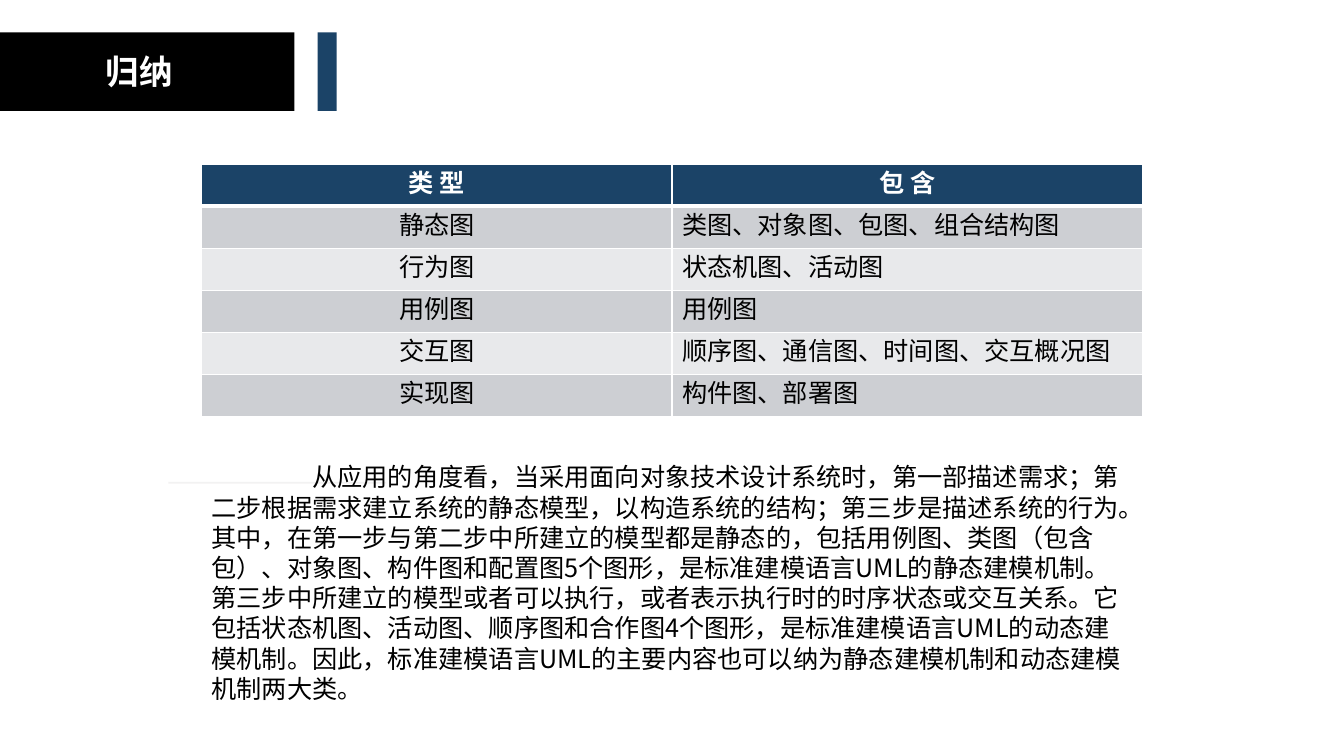
import pptx
import pptx.dml.color
import pptx.enum.shapes
import pptx.enum.text
import pptx.oxml
import pptx.oxml.ns
import pptx.util
from lxml import etree

RGB = pptx.dml.color.RGBColor
ALIGN = pptx.enum.text.PP_ALIGN
qn = pptx.oxml.ns.qn

SCALE = 9144  # EMU per px, 100 px to the inch
FONT = "Noto Sans CJK SC"
WHITE = RGB(0xFF, 0xFF, 0xFF)
BLACK = RGB(0x00, 0x00, 0x00)
NAVY = RGB(0x1B, 0x43, 0x67)
DARK = RGB(0xCD, 0xCF, 0xD3)
LIGHT = RGB(0xE8, 0xE9, 0xEB)
PALE = RGB(0xE7, 0xE6, 0xE6)

ROWS = [
    ("类 型", "包 含"),
    ("静态图", "类图、对象图、包图、组合结构图"),
    ("行为图", "状态机图、活动图"),
    ("用例图", "用例图"),
    ("交互图", "顺序图、通信图、时间图、交互概况图"),
    ("实现图", "构件图、部署图"),
]
BODY = (
    "从应用的角度看，当采用面向对象技术设计系统时，第一部描述需求；"
    "第二步根据需求建立系统的静态模型，以构造系统的结构；第三步是描述系统的行为。"
    "其中，在第一步与第二步中所建立的模型都是静态的，"
    "包括用例图、类图（包含包）、对象图、构件图和配置图5个图形，"
    "是标准建模语言UML的静态建模机制。"
    "第三步中所建立的模型或者可以执行，或者表示执行时的时序状态或交互关系。"
    "它包括状态机图、活动图、顺序图和合作图4个图形，"
    "是标准建模语言UML的动态建模机制。"
    "因此，标准建模语言UML的主要内容也可以纳为静态建模机制和动态建模机制两大类。"
)


def px(*nums):
    return [pptx.util.Emu(num * SCALE) for num in nums]


def style(frame, size, color, bold=False, align=ALIGN.LEFT):
    para = frame.paragraphs[0]
    para.alignment = align
    # Exact pitch keeps lines at 1.2 times the type size
    para.line_spacing = pptx.util.Pt(size * 1.2)
    for run in para.runs:
        font = run.font
        font.name, font.size, font.bold = FONT, pptx.util.Pt(size), bold
        font.color.rgb = color
        east = etree.SubElement(run._r.get_or_add_rPr(), qn("a:ea"))
        east.set("typeface", FONT)


def add_bar(slide, box, color):
    bar = slide.shapes.add_shape(
        pptx.enum.shapes.MSO_SHAPE.RECTANGLE, *px(*box))
    bar.shadow.inherit = False
    bar.fill.solid()
    bar.fill.fore_color.rgb = color
    bar.line.fill.background()


def add_rule(slide, ends):
    rule = slide.shapes.add_connector(
        pptx.enum.shapes.MSO_CONNECTOR.STRAIGHT, *px(*ends))
    rule.line.color.rgb = PALE
    rule.line.width = pptx.util.Pt(1.25)
    tint = rule.line._ln.find(".//" + qn("a:srgbClr"))
    etree.SubElement(tint, qn("a:alpha")).set("val", "50000")
    etree.SubElement(rule._element.spPr, qn("a:effectLst"))


def add_text(slide, box, text, size, color, **look):
    frame = slide.shapes.add_textbox(*px(*box)).text_frame
    frame.word_wrap = True
    frame.auto_size = pptx.enum.text.MSO_AUTO_SIZE.SHAPE_TO_FIT_TEXT
    frame.text = text
    style(frame, size, color, **look)
    return frame


def add_edges(cell, head, below):
    props = cell._tc.get_or_add_tcPr()
    widths = {"L": 1, "R": 1, "T": 3 if below else 1, "B": 3 if head else 1}
    for spot, (side, width) in enumerate(widths.items()):
        edge = etree.Element(qn("a:ln" + side), w=str(width * 12700))
        fill = etree.SubElement(edge, qn("a:solidFill"))
        etree.SubElement(fill, qn("a:srgbClr"), val=str(WHITE))
        props.insert(spot, edge)


def add_grid(slide, box, rows):
    grid = slide.shapes.add_table(len(rows), len(rows[0]), *px(*box)).table
    for i, row in enumerate(rows):
        head = i == 0
        for j, text in enumerate(row):
            cell = grid.cell(i, j)
            cell.text_frame.text = text
            align = ALIGN.CENTER if head or j == 0 else ALIGN.LEFT
            style(cell.text_frame, 18, WHITE if head else BLACK, head, align)
            cell.fill.solid()
            cell.fill.fore_color.rgb = NAVY if head else (LIGHT, DARK)[i % 2]
            add_edges(cell, head, i == 1)


def main():
    deck = pptx.Presentation()
    deck.slide_width, deck.slide_height = px(1333, 750)
    slide = deck.slides.add_slide(deck.slide_layouts[6])

    # Title band
    add_rule(slide, (167, 479, 383, 479))
    add_bar(slide, (0, 32, 292, 78), BLACK)
    add_bar(slide, (315, 32, 19, 78), NAVY)
    add_text(slide, (0, 46, 276, 50), "归纳", 24, WHITE,
             bold=True, align=ALIGN.CENTER)

    # Diagram types
    add_grid(slide, (200, 163, 933, 250), ROWS)

    # Summary with a first-line indent
    body = add_text(slide, (200, 453, 933, 252), BODY, 18, BLACK)
    body.paragraphs[0]._p.get_or_add_pPr().set("indent", str(100 * SCALE))

    deck.save("out.pptx")


if __name__ == "__main__":
    main()
